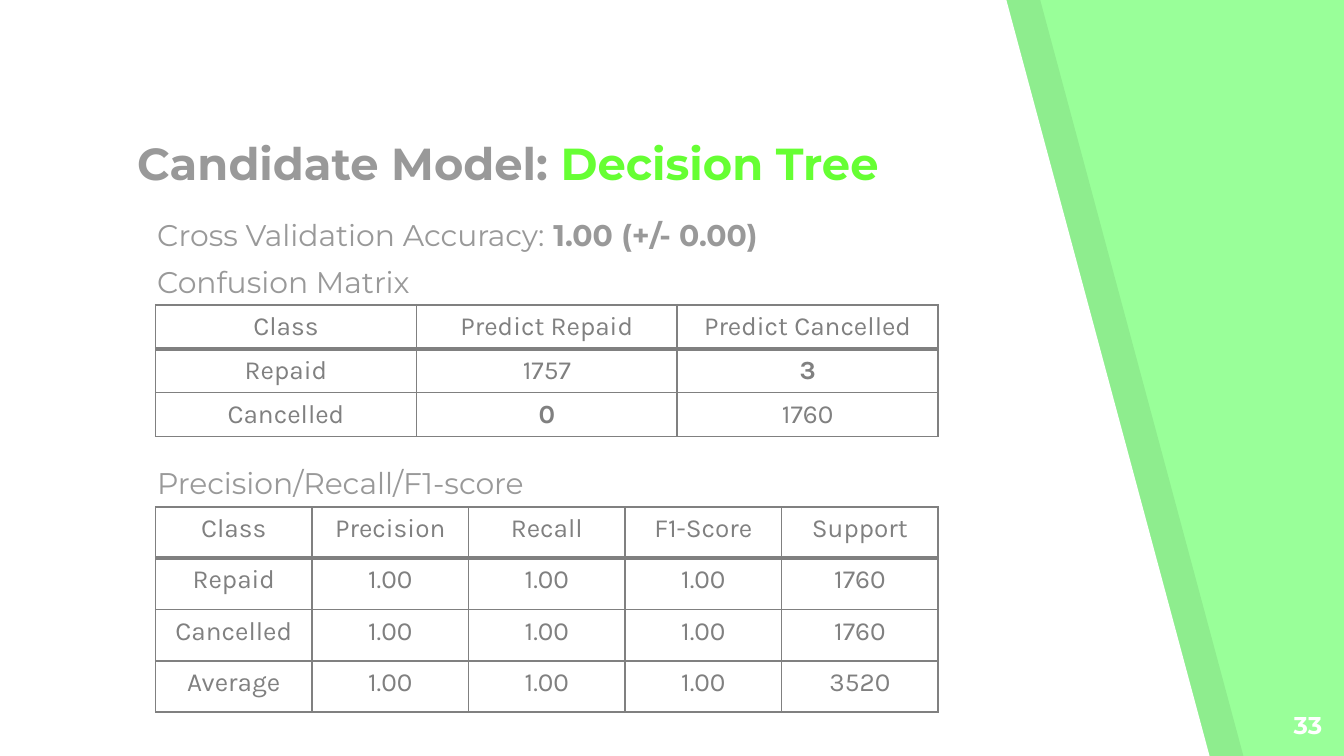
from dataclasses import dataclass

from lxml import etree
from pptx import Presentation
from pptx.dml.color import RGBColor
from pptx.enum.text import MSO_ANCHOR, MSO_AUTO_SIZE, PP_ALIGN
from pptx.oxml.ns import qn
from pptx.util import Cm, Pt

LEFT, CENTER, RIGHT = PP_ALIGN.LEFT, PP_ALIGN.CENTER, PP_ALIGN.RIGHT
TOP, BOTTOM = MSO_ANCHOR.TOP, MSO_ANCHOR.BOTTOM
NO_FIT = MSO_AUTO_SIZE.NONE
PAGE_WIDTH, PAGE_HEIGHT = 25.4, 14.29
TABLE_LEFT, TABLE_WIDTH = 2.94, 14.79


@dataclass(frozen=True)
class Theme:
    heading_font: str = "Montserrat"
    table_font: str = "Karla"
    background: str = "99FF99"
    panel: str = "FFFFFF"
    shade: str = "000000"
    text: str = "999999"
    accent: str = "66FF33"
    grid: str = "808080"
    title_size: float = 24
    body_size: float = 16
    table_size: float = 14
    number_size: float = 13
    thin: float = 1
    thick: float = 2.25


class SlideBuilder:
    """Holds the theme and the current slide, and adds each kind of element."""

    def __init__(self, deck, theme):
        self.theme = theme
        self.page = deck.slides.add_slide(deck.slide_layouts[1])
        fill = self.page.background.fill
        fill.solid()
        fill.fore_color.rgb = RGBColor.from_string(theme.background)

    def style(self, font, name, size, color, bold=False):
        font.name, font.size, font.bold = name, Pt(size), bold
        font.color.rgb = RGBColor.from_string(color)

    def place(self, box, left, top, width, height, anchor):
        box.left, box.top, box.width, box.height = map(Cm, (left, top, width, height))
        frame = box.text_frame
        frame.margin_left = frame.margin_right = Cm(0.25)
        frame.margin_top = frame.margin_bottom = Cm(0.25)
        frame.word_wrap, frame.auto_size = True, NO_FIT
        frame.vertical_anchor = anchor
        return frame

    def panel(self, left, color, opacity=100):
        top_right, bottom_right = left + 19.02, left + 22.86
        outline = self.page.shapes.build_freeform(Cm(left), Cm(0))
        outline.add_line_segments([
            (Cm(left), Cm(PAGE_HEIGHT)),
            (Cm(bottom_right), Cm(PAGE_HEIGHT)),
            (Cm(top_right), Cm(0)),
        ])
        shape = outline.convert_to_shape()
        shape.shadow.inherit = False
        shape.fill.solid()
        shape.fill.fore_color.rgb = RGBColor.from_string(color)
        shape.line.fill.background()
        if opacity < 100:
            paint = next(shape.element.iter(qn("a:srgbClr")))
            etree.SubElement(paint, qn("a:alpha"), val=str(opacity * 1000))
        self.page.shapes.title.element.addprevious(shape.element)

    def title(self, label, highlight):
        theme = self.theme
        frame = self.place(self.page.shapes.title, 2.34, 2.21, 17.83, 1.63, BOTTOM)
        para = frame.paragraphs[0]
        para.alignment = LEFT
        self.style(para.font, theme.heading_font, theme.title_size, theme.text, True)
        para.add_run().text = label
        span = para.add_run()
        span.text = highlight
        span.font.color.rgb = RGBColor.from_string(theme.accent)

    def body(self, lines):
        theme = self.theme
        frame = self.place(self.page.placeholders[1], 2.72, 3.84, 14.4, 8.18, TOP)
        for index, (space, label, value) in enumerate(lines):
            para = frame.add_paragraph() if index else frame.paragraphs[0]
            para.space_before = Pt(space)
            self.style(para.font, theme.heading_font, theme.body_size, theme.text)
            properties = para._p.get_or_add_pPr()
            properties.set("marL", "0")
            properties.set("indent", "0")
            bullet = etree.Element(qn("a:buNone"))
            properties.find(qn("a:defRPr")).addprevious(bullet)
            para.add_run().text = label
            if value:
                span = para.add_run()
                span.text = value
                span.font.bold = True

    def page_number(self, number):
        theme = self.theme
        box = self.page.shapes.add_textbox(0, 0, 0, 0)
        frame = self.place(box, 23.72, 13.18, 1.52, 1.09, TOP)
        para = frame.paragraphs[0]
        para.text, para.alignment = number, RIGHT
        self.style(para.font, theme.heading_font, theme.number_size, theme.panel, True)

    def borders(self, cell, top, bottom):
        theme = self.theme
        properties = cell._tc.get_or_add_tcPr()
        widths = {"L": theme.thin, "R": theme.thin, "T": top, "B": bottom}
        for side, width in widths.items():
            line = etree.SubElement(properties, qn(f"a:ln{side}"), w=str(Pt(width)))
            fill = etree.SubElement(line, qn("a:solidFill"))
            etree.SubElement(fill, qn("a:srgbClr"), val=theme.grid)

    def table(self, top, row_height, rows, bold_cells=()):
        theme = self.theme
        row_count, column_count = len(rows), len(rows[0])
        grid = self.page.shapes.add_table(
            row_count, column_count, Cm(TABLE_LEFT), Cm(top),
            Cm(TABLE_WIDTH), Cm(row_height * row_count)).table
        grid.first_row = grid.horz_banding = False
        for row, values in enumerate(rows):
            for column, value in enumerate(values):
                cell = grid.cell(row, column)
                self.borders(cell, theme.thick if row == 1 else theme.thin,
                             theme.thick if row == 0 else theme.thin)
                cell.fill.background()
                para = cell.text_frame.paragraphs[0]
                para.alignment = CENTER
                span = para.add_run()
                span.text = value
                self.style(span.font, theme.table_font, theme.table_size,
                           theme.grid, (row, column) in bold_cells)


def main():
    deck = Presentation()
    deck.slide_width, deck.slide_height = Cm(PAGE_WIDTH), Cm(PAGE_HEIGHT)
    theme = Theme()
    slide = SlideBuilder(deck, theme)
    slide.panel(0.64, theme.shade, 7)
    slide.panel(0, theme.panel)
    slide.page_number("33")
    slide.title("Candidate Model: ", "Decision Tree")
    slide.body([
        (0, "Cross Validation Accuracy:", " 1.00 (+/- 0.00)"),
        (6, "Confusion Matrix", ""),
        (88.7, "Precision/Recall/F1-score", ""),
    ])
    slide.table(9.58, 0.97, [
        ("Class", "Precision", "Recall", "F1-Score", "Support"),
        ("Repaid", "1.00", "1.00", "1.00", "1760"),
        ("Cancelled", "1.00", "1.00", "1.00", "1760"),
        ("Average", "1.00", "1.00", "1.00", "3520"),
    ])
    slide.table(5.76, 0.83, [
        ("Class", "Predict Repaid", "Predict Cancelled"),
        ("Repaid", "1757", "3"),
        ("Cancelled", "0", "1760"),
    ], bold_cells={(1, 2), (2, 1)})
    deck.save("out.pptx")


if __name__ == "__main__":
    main()
